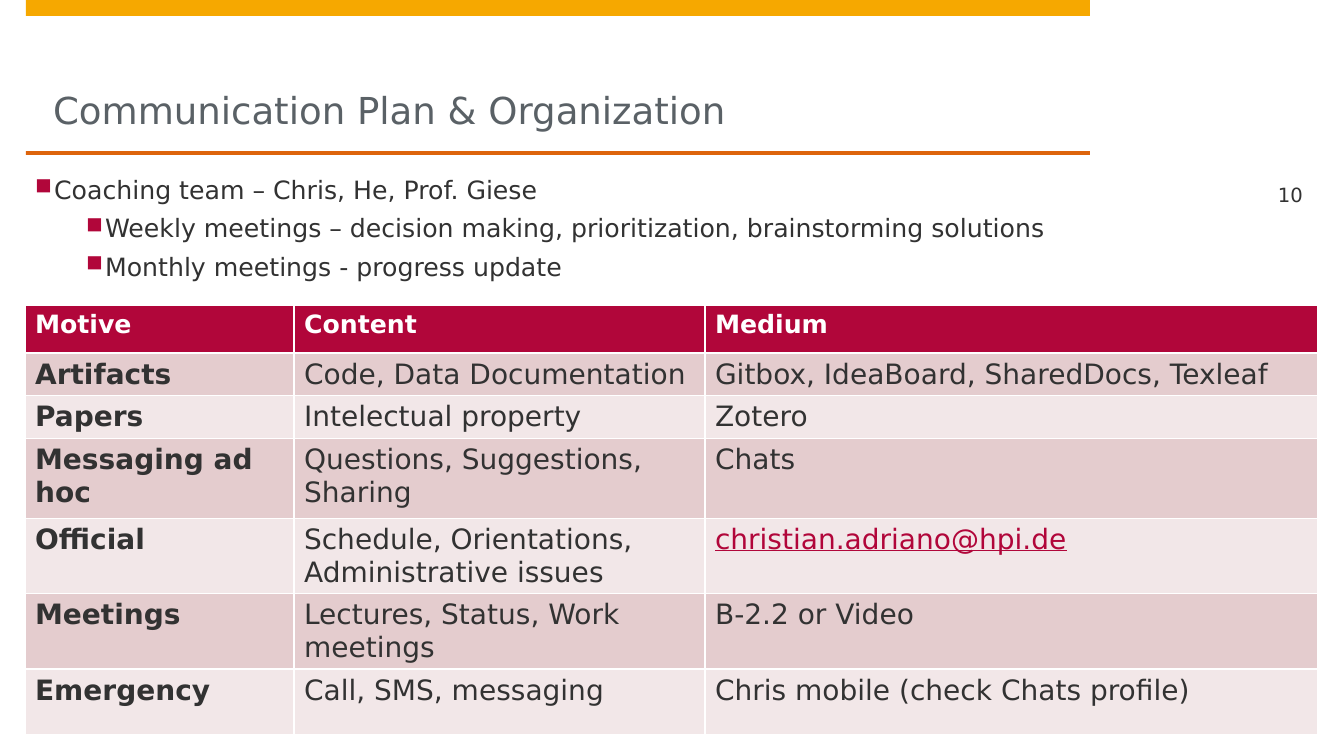
import pptx
import pptx.dml.color
import pptx.enum.shapes
import pptx.enum.text
import pptx.oxml
import pptx.oxml.ns
import pptx.util

SCALE = 914400 / 100.8  # EMU per px
FONT = "DejaVu Sans"
COLORS = {
    "amber": "F6A800", "orange": "DD640C", "white": "FFFFFF", "title": "5A6166",
    "text": "323232", "crimson": "B1063A", "dark_row": "E4CCCE", "light_row": "F2E7E8",
}
MEETINGS = [
    (0, "Coaching team – Chris, He, Prof. Giese"),
    (1, "Weekly meetings – decision making, prioritization, brainstorming solutions"),
    (1, "Monthly meetings - progress update"),
]
EMAIL = "christian.adriano@hpi.de"
CHANNELS = [
    ("Motive", "Content", "Medium"),
    ("Artifacts", "Code, Data Documentation", "Gitbox, IdeaBoard, SharedDocs, Texleaf"),
    ("Papers", "Intelectual property", "Zotero"),
    ("Messaging ad hoc", "Questions, Suggestions, Sharing", "Chats"),
    ("Official", "Schedule, Orientations,\nAdministrative issues", EMAIL),
    ("Meetings", "Lectures, Status, Work meetings", "B-2.2 or Video"),
    ("Emergency", "Call, SMS, messaging", "Chris mobile (check Chats profile)"),
]
COLUMN_WIDTHS = [269, 411, 613]
ROW_HEIGHTS = [48, 41, 41, 80, 74, 74, 66]


def px(length):
    return pptx.util.Emu(round(length * SCALE))


def rgb(name):
    return pptx.dml.color.RGBColor.from_string(COLORS[name])


def place(shape, box):
    shape.left, shape.top, shape.width, shape.height = map(px, box)


def format_runs(paragraph, size, color, bold=False):
    for run in paragraph.runs:
        run.font.name = FONT
        run.font.size = pptx.util.Pt(size)
        run.font.bold = bold
        run.font.color.rgb = rgb(color)


def add_bar(slide, box, color):
    bar = slide.shapes.add_shape(pptx.enum.shapes.MSO_SHAPE.RECTANGLE, *map(px, box))
    bar.shadow.inherit = False
    bar.fill.solid()
    bar.fill.fore_color.rgb = rgb(color)
    bar.line.fill.background()


def add_header(slide, box):
    """Amber band on top, title above an orange rule."""
    left, top, width, height = box
    add_bar(slide, (left, top, width, 16), "amber")
    add_bar(slide, (left, top + height - 4, width, 4), "orange")
    title = slide.shapes.title
    place(title, (left + 27, top + 16, width - 62, height - 19))
    frame = title.text_frame
    frame.text = "Communication Plan & Organization"
    frame.auto_size = pptx.enum.text.MSO_AUTO_SIZE.NONE
    frame.vertical_anchor = pptx.enum.text.MSO_ANCHOR.BOTTOM
    frame.margin_left = frame.margin_top = frame.margin_right = 0
    frame.margin_bottom = px(20)
    frame.paragraphs[0].alignment = pptx.enum.text.PP_ALIGN.LEFT
    format_runs(frame.paragraphs[0], 26.5, "title")


def set_bullet(paragraph, indent):
    """Small crimson square: the letter n in Wingdings."""
    properties = paragraph._p.get_or_add_pPr()
    properties.set("marL", str(px(indent)))
    properties.set("indent", str(px(-19)))
    namespace = pptx.oxml.ns.nsdecls("a")
    for xml in (
        f'<a:buClr {namespace}><a:srgbClr val="{COLORS["crimson"]}"/></a:buClr>',
        f'<a:buSzPct {namespace} val="90000"/>',
        f'<a:buFont {namespace} typeface="Wingdings" pitchFamily="2" charset="2"/>',
        f'<a:buChar {namespace} char="n"/>',
    ):
        properties.append(pptx.oxml.parse_xml(xml))


def add_meetings(slide, box):
    """Bulleted list of the regular meetings."""
    body = slide.placeholders[1]
    place(body, box)
    frame = body.text_frame
    frame.auto_size = pptx.enum.text.MSO_AUTO_SIZE.NONE
    frame.text = "\n".join(text for _, text in MEETINGS)
    for index, (level, _) in enumerate(MEETINGS):
        paragraph = frame.paragraphs[index]
        paragraph.level = level
        paragraph.space_before = pptx.util.Pt(3 if index else 0)
        paragraph.space_after = pptx.util.Pt(3)
        set_bullet(paragraph, 19 + 51 * level)
        format_runs(paragraph, 18, "text")


def fill_cell(cell, text, row, column):
    header = row == 0
    cell.text_frame.text = text
    cell.fill.solid()
    stripe = "dark_row" if row % 2 else "light_row"
    cell.fill.fore_color.rgb = rgb("crimson" if header else stripe)
    for paragraph in cell.text_frame.paragraphs:
        format_runs(paragraph, 18 if header else 20, "white" if header else "text",
                    header or column == 0)
    if text == EMAIL:
        font = cell.text_frame.paragraphs[0].runs[0].font
        font.color.rgb = rgb("crimson")
        font.underline = True


def add_channels(slide, left, top):
    """Table of communication channels; its style draws the white lines."""
    box = (left, top, sum(COLUMN_WIDTHS), sum(ROW_HEIGHTS))
    table = slide.shapes.add_table(len(CHANNELS), len(COLUMN_WIDTHS), *map(px, box)).table
    for column, width in zip(table.columns, COLUMN_WIDTHS):
        column.width = px(width)
    for row, height in zip(table.rows, ROW_HEIGHTS):
        row.height = px(height)
    for row, texts in enumerate(CHANNELS):
        for column, text in enumerate(texts):
            fill_cell(table.cell(row, column), text, row, column)


def add_page_number(slide, box):
    frame = slide.shapes.add_textbox(*map(px, box)).text_frame
    frame.word_wrap = True
    frame.vertical_anchor = pptx.enum.text.MSO_ANCHOR.BOTTOM
    frame.margin_left = px(12)
    frame.margin_top = frame.margin_right = frame.margin_bottom = 0
    frame.text = "10"
    format_runs(frame.paragraphs[0], 14, "text")


def main():
    presentation = pptx.Presentation()
    presentation.slide_width, presentation.slide_height = px(1344), px(756)
    slide = presentation.slides.add_slide(presentation.slide_layouts[1])
    add_header(slide, (26, 0, 1064, 155))
    add_channels(slide, 25, 305)
    add_meetings(slide, (25, 169, 1142, 119))
    add_page_number(slide, (1266, 169, 51, 37))
    presentation.save("out.pptx")


if __name__ == "__main__":
    main()
